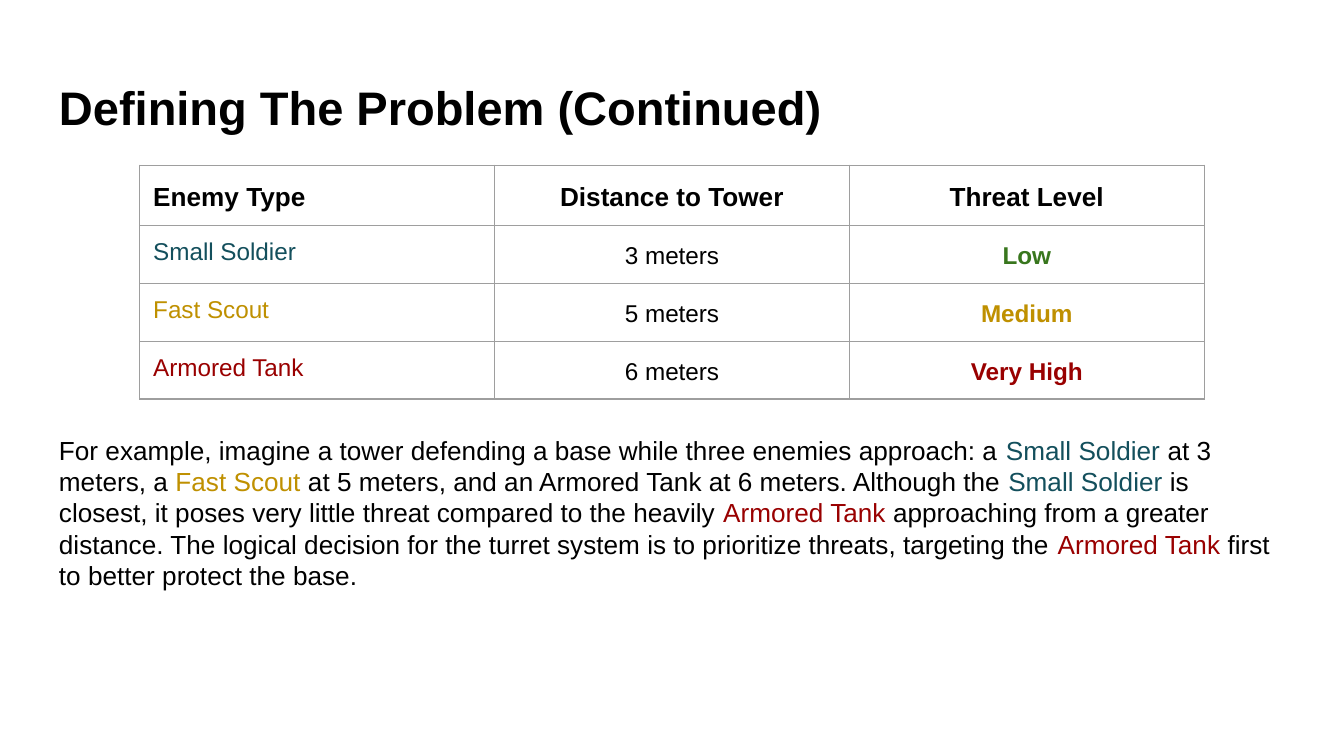
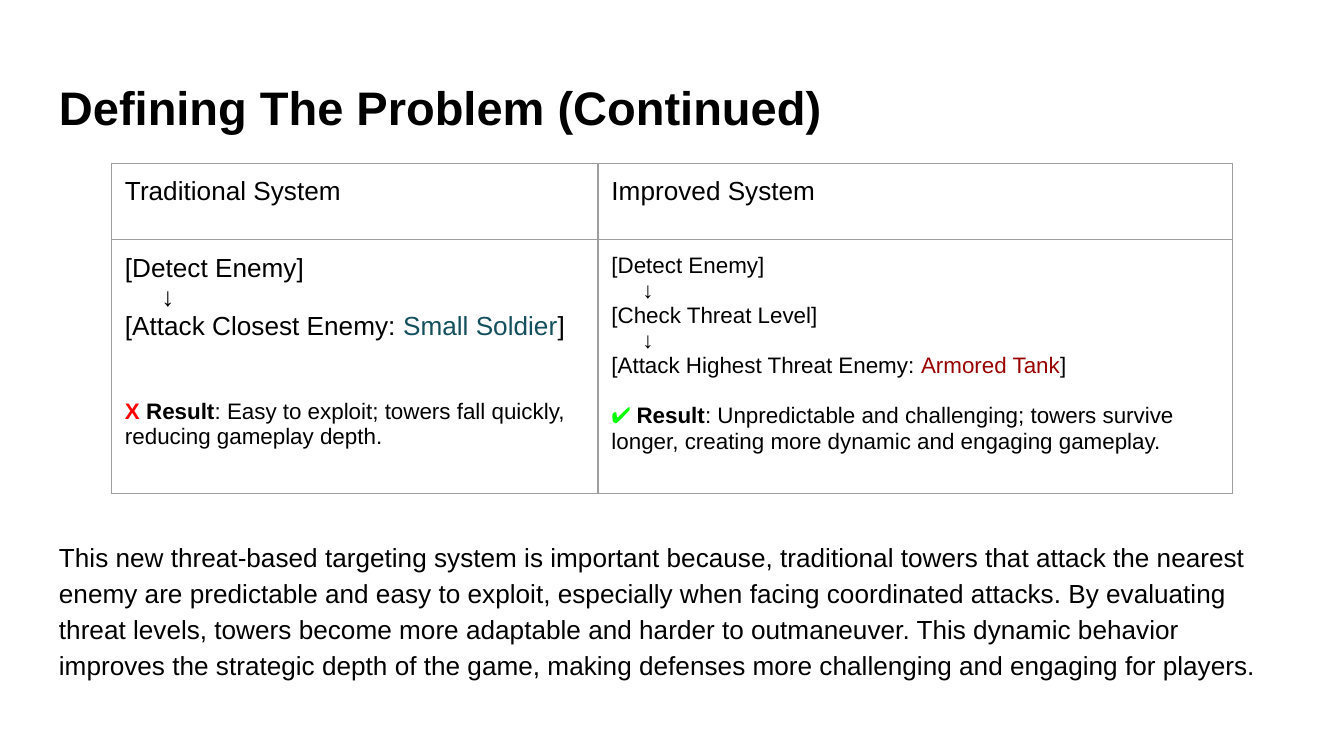
from lxml.etree import SubElement
from pptx import Presentation
from pptx.dml.color import RGBColor
from pptx.enum.text import PP_ALIGN
from pptx.oxml.ns import qn
from pptx.util import Pt

PX = 4572  # EMU per px, 200 px to the inch
FONT = "Arial"
BLACK, GRID = "000000", "9E9E9E"
TEAL, GOLD, RED, GREEN = "134F5C", "BF9000", "990000", "38761D"
MARGIN = 20


def write(p, size, *runs, bold=False):
    """Fill a paragraph with runs, each a string or (text, colour[, bold[, font]])."""
    for run in runs:
        text, color, *rest = (run, BLACK) if isinstance(run, str) else run
        r = p.add_run()
        r.text = text
        r.font.size = Pt(size)
        r.font.color.rgb = RGBColor.from_string(color)
        r.font.bold = rest[0] if rest else bold
        r.font.name = rest[1] if len(rest) > 1 else FONT


def add_grid(slide, left, top, widths, heights, bottom=MARGIN):
    """Add an unfilled table with thin grey borders."""
    sp = slide.shapes.add_table(len(heights), len(widths), left * PX, top * PX,
                                sum(widths) * PX, sum(heights) * PX)
    table = sp.table
    table.first_row = table.horz_banding = False
    for column, width in zip(table.columns, widths):
        column.width = width * PX
    for row, height in zip(table.rows, heights):
        row.height = height * PX
    for cell in table.iter_cells():
        cell.margin_left = cell.margin_right = cell.margin_top = MARGIN * PX
        cell.margin_bottom = bottom * PX
        tcPr = cell._tc.get_or_add_tcPr()
        for side in ("a:lnL", "a:lnR", "a:lnT", "a:lnB"):
            ln = SubElement(tcPr, qn(side), w=str(Pt(0.75)))
            SubElement(SubElement(ln, qn("a:solidFill")), qn("a:srgbClr"), val=GRID)
        cell.fill.background()
    return table


prs = Presentation()
prs.slide_width, prs.slide_height = 2000 * PX, 1125 * PX

# Title and explanation on each slide
soldier, scout, tank = ("Small Soldier", TEAL), ("Fast Scout", GOLD), ("Armored Tank", RED)
example = [
    "For example, imagine a tower defending a base while three enemies approach: a ",
    soldier, " at 3 meters, a ", scout,
    " at 5 meters, and an Armored Tank at 6 meters. Although the ", soldier,
    " is closest, it poses very little threat compared to the heavily ", tank,
    " approaching from a greater distance. The logical decision for the turret system"
    " is to prioritize threats, targeting the ", tank, " first to better protect the base.",
]
importance = [
    "This new threat-based targeting system is important because, traditional towers that"
    " attack the nearest enemy are predictable and easy to exploit, especially when facing"
    " coordinated attacks. By evaluating threat levels, towers become more adaptable and"
    " harder to outmaneuver. This dynamic behavior improves the strategic depth of the game,"
    " making defenses more challenging and engaging for players.",
]
slides = []
for body_top, body_height, spacing, body in ((626, 296, 1.0, example),
                                             (779, 268, 1.15, importance)):
    slide = prs.slides.add_slide(prs.slide_layouts[6])
    slides.append(slide)
    for top, height, size, bold, line, runs in (
            (97, 126, 25.2, True, 1.0, ["Defining The Problem (Continued)"]),
            (body_top, body_height, 14, False, spacing, body)):
        tf = slide.shapes.add_textbox(68 * PX, top * PX, 1862 * PX, height * PX).text_frame
        tf.word_wrap = True
        tf.margin_left = tf.margin_right = MARGIN * PX
        tf.margin_top = tf.margin_bottom = MARGIN * PX
        p = tf.paragraphs[0]
        p.line_spacing = line
        write(p, size, *runs, bold=bold)

# Slide 1: enemies, distances and threat levels
enemies = [
    ("Enemy Type", "Distance to Tower", "Threat Level"),
    (soldier, "3 meters", ("Low", GREEN, True)),
    (scout, "5 meters", ("Medium", GOLD, True)),
    (tank, "6 meters", ("Very High", RED, True)),
]
table = add_grid(slides[0], 208, 246, [528] * 3, [89, 86, 86, 86], bottom=16)
for i, row in enumerate(enemies):
    for j, run in enumerate(row):
        p = table.cell(i, j).text_frame.paragraphs[0]
        if j > 0:
            p.alignment = PP_ALIGN.CENTER
        if i == 0 or j > 0:
            p.line_spacing = 1.15
        write(p, 14 if i == 0 else 13, run, bold=i == 0)

# Slide 2: the two targeting systems, step by step
systems = [
    ("Traditional System", 14, 54, 31,
     [["[Detect Enemy]"], ["[Attack Closest Enemy: ", soldier, "]"]],
     [("X ", "FF0000", True), ("Result", BLACK, True),
      ": Easy to exploit; towers fall quickly, reducing gameplay depth."]),
    ("Improved System", 12, 46, 13,
     [["[Detect Enemy]"], ["[Check Threat Level]"],
      ["[Attack Highest Threat Enemy: ", tank, "]"]],
     [("✔ ", "00FF00", True, "Roboto"), ("Result", BLACK, True),
      ": Unpredictable and challenging; towers survive longer,"
      " creating more dynamic and engaging gameplay."]),
]
table = add_grid(slides[1], 166, 243, [724, 944], [114, 378])
for j, (name, size, indent, gap, steps, result) in enumerate(systems):
    write(table.cell(0, j).text_frame.paragraphs[0], 14, name)
    tf = table.cell(1, j).text_frame
    write(tf.paragraphs[0], size, *steps[0])
    for step in steps[1:]:
        p = tf.add_paragraph()
        p._p.get_or_add_pPr().set("marL", str(indent * PX))
        write(p, size, "↓")
        write(tf.add_paragraph(), size, *step)
    p = tf.add_paragraph()
    p.space_before = Pt(gap)
    write(p, 12, *result)

prs.save("out.pptx")
